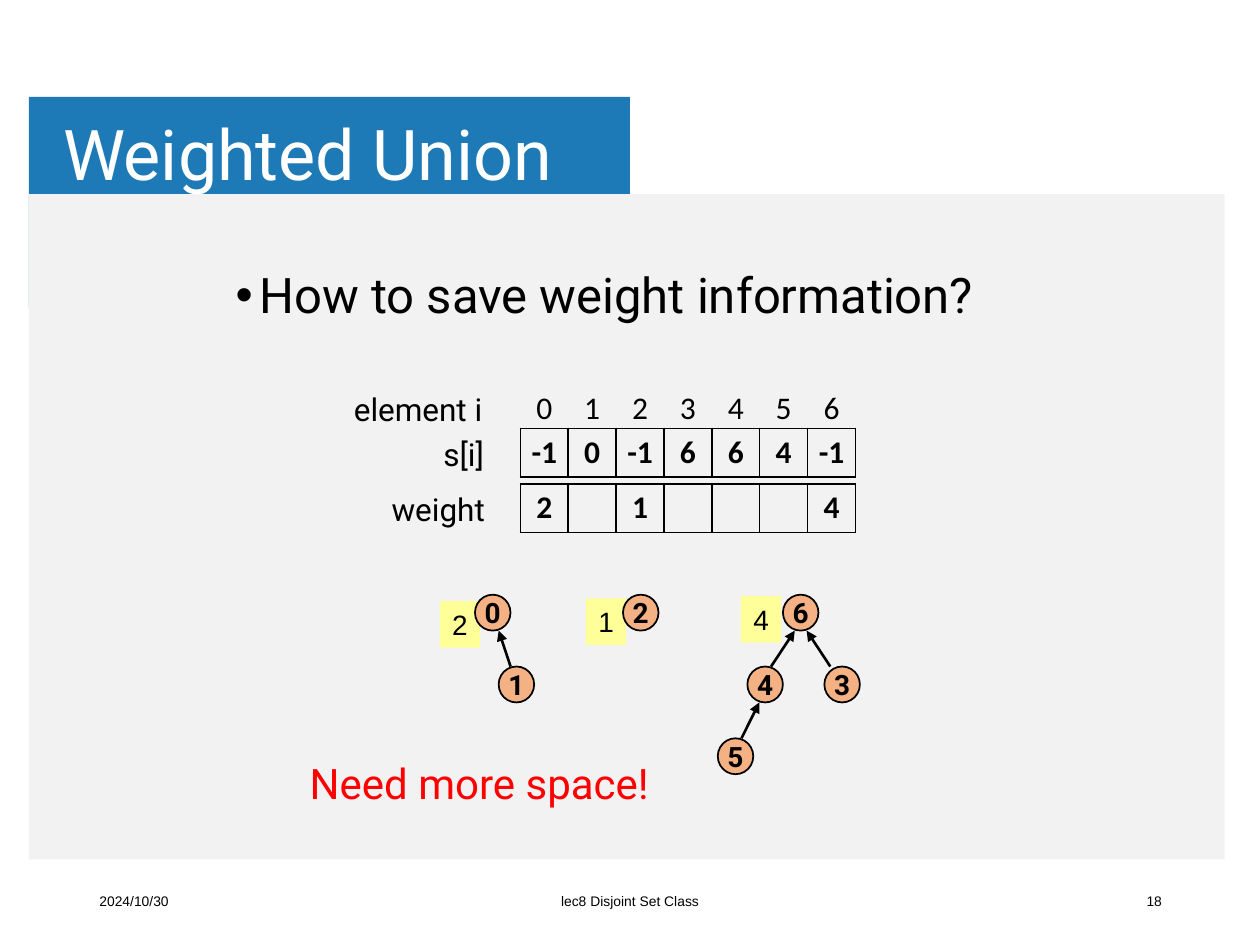
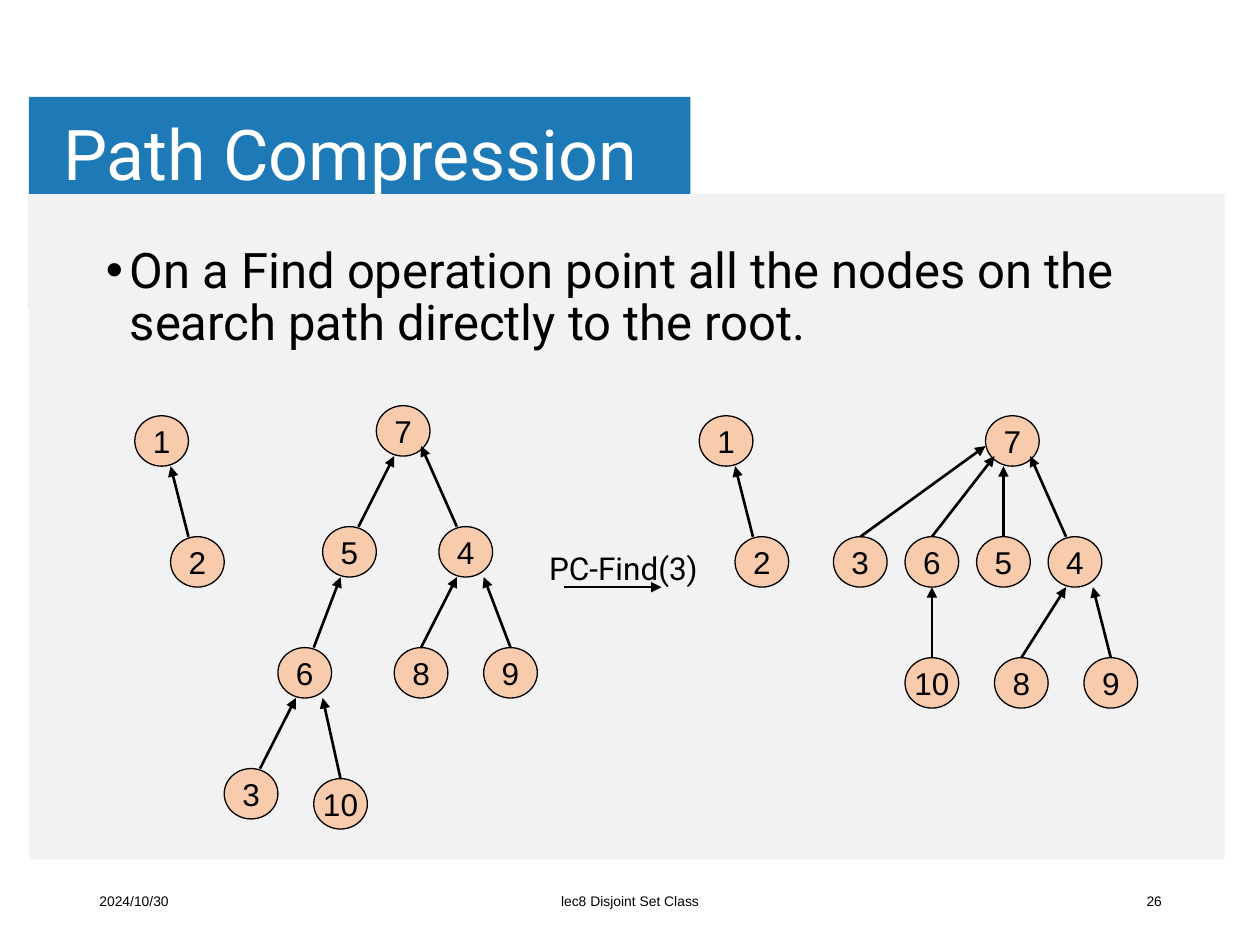
from lxml.etree import SubElement
from pptx import Presentation
from pptx.dml.color import RGBColor
from pptx.enum.shapes import MSO_CONNECTOR, MSO_SHAPE
from pptx.enum.text import MSO_ANCHOR, MSO_AUTO_SIZE, PP_ALIGN
from pptx.oxml.ns import qn
from pptx.util import Inches, Pt

HUES = {
    "blue": "1E7AB6", "panel": "F2F2F2", "white": "FFFFFF", "ink": "000000",
    "red": "FF0000", "note": "FFFF99", "orange": "F4B183", "peach": "F8CBAD",
}
ALIGN = {"l": PP_ALIGN.LEFT, "c": PP_ALIGN.CENTER, "r": PP_ALIGN.RIGHT}
COLS, ROWS = 100, 75  # slide grid
UNIT = Inches(0.1)
WIDE, TALL = 6, 5  # tree node, in cells of its tree's grid


def span(*cells):
    """Turn grid cells into slide lengths."""
    return [round(n * UNIT) for n in cells]


def hue(name):
    return RGBColor.from_string(HUES[name])


def put(frame, text, size=18, font="Roboto", color="ink", bold=False, align="l",
        mid=False, wrap=True, pads=None, lead=None, bullet=False):
    """Write one formatted paragraph into a text frame."""
    frame.text = text
    frame.word_wrap = wrap
    frame.auto_size = MSO_AUTO_SIZE.NONE
    frame.vertical_anchor = MSO_ANCHOR.MIDDLE if mid else MSO_ANCHOR.TOP
    if pads:
        frame.margin_left = frame.margin_right = Inches(pads[0])
        frame.margin_top = frame.margin_bottom = Inches(pads[1])
    para = frame.paragraphs[0]
    para.alignment = ALIGN[align]
    para.space_before = Pt(0)
    if lead:
        para.line_spacing = lead
    if bullet:
        props = para._p.get_or_add_pPr()
        props.set("marL", str(Inches(0.19)))
        props.set("indent", str(-Inches(0.19)))
        SubElement(props, qn("a:buChar"), char="•")
    face = para.runs[0].font
    face.size, face.name, face.bold = Pt(size), font, bold
    face.color.rgb = hue(color)


def label(slide, box, text, **style):
    put(slide.shapes.add_textbox(*span(*box)).text_frame, text, **style)


def block(slide, kind, box, fill, line=None):
    """Add a flat preset shape, outlined when a line width is given."""
    shape = slide.shapes.add_shape(kind, *span(*box))
    shape.shadow.inherit = False
    shape.fill.solid()
    shape.fill.fore_color.rgb = hue(fill)
    if line:
        shape.line.color.rgb = hue("ink")
        shape.line.width = Pt(line)
    else:
        shape.line.fill.background()
    return shape


def arrow(slide, start, end, width=1.5):
    wire = slide.shapes.add_connector(
        MSO_CONNECTOR.STRAIGHT, *span(*start, *end))
    wire.line.color.rgb = hue("ink")
    wire.line.width = Pt(width)
    SubElement(wire.line._get_or_add_ln(), qn("a:tailEnd"), type="triangle")
    SubElement(wire._element.spPr, qn("a:effectLst"))


def place(shape, box):
    shape.left, shape.top, shape.width, shape.height = span(*box)


def frame(deck, title, band, point, box, page):
    """Add a slide with the shared bands, title, bullet and footer."""
    slide = deck.slides.add_slide(deck.slide_layouts[1])
    bands = [((2.3, 7.7, band, 16.7), "blue"),
             ((2.3, 15.4, 94.9, 52.8), "panel")]
    for layer, (area, fill) in enumerate(bands, 2):
        part = block(slide, MSO_SHAPE.RECTANGLE, area, fill)._element
        part.getparent().insert(layer, part)  # behind the placeholders
    head, body = slide.placeholders
    place(head, (4.3, 7.6, 80.3, 9.8))
    put(head.text_frame, title, size=40, color="white", mid=True,
        pads=(0.07, 0.04), lead=0.9)
    place(body, box)
    put(body.text_frame, point, size=28, lead=0.9, bullet=True)
    feet = [(6.9, 22.5, "2024/10/30", "l"),
            (33.1, 33.8, "lec8 Disjoint Set Class", "c"),
            (70.7, 22.5, page, "r")]
    for left, width, text, align in feet:
        label(slide, (left, 69.5, width, 4), text, size=7.9, font="Arial",
              align=align, mid=True)
    return slide


def strip(slide, left, top, values, ruled=True):
    """Add a one-row table, with cell borders when ruled."""
    side = 3.8
    grid = slide.shapes.add_table(
        1, len(values), *span(left, top, side * len(values), side)).table
    grid.first_row = grid.horz_banding = False
    for cell, value in zip(grid.iter_cells(), values):
        props = cell._tc.get_or_add_tcPr()
        for edge in "LRTB":
            line = SubElement(props, qn(f"a:ln{edge}"), w=str(Pt(1)))
            if ruled:
                fill = SubElement(line, qn("a:solidFill"))
                SubElement(fill, qn("a:srgbClr"), val=HUES["ink"])
            else:
                SubElement(line, qn("a:noFill"))
        cell.fill.background()
        cell.margin_left = cell.margin_right = Inches(0.07)
        cell.margin_top = cell.margin_bottom = Inches(0.04)
        if value:
            put(cell.text_frame, value, font="Calibri", bold=ruled, align="c")


def tree(slide, origin, cell, nodes, edges, fill, line, **style):
    """Draw nodes {name: (col, row)} and child-to-parent arrows.

    An edge is child, parent, start column in the child, end column in the
    parent and, when it is not the node's height, the end row in the parent.
    """
    def spot(col, row):
        return origin[0] + col * cell[0], origin[1] + row * cell[1]

    for name, (col, row) in nodes.items():
        box = (*spot(col, row), WIDE * cell[0], TALL * cell[1])
        disc = block(slide, MSO_SHAPE.OVAL, box, fill, line)
        put(disc.text_frame, str(name), align="c", mid=True, wrap=False, **style)
    for child, parent, start, end, *drop in edges:
        low, high = nodes[child], nodes[parent]
        depth = drop[0] if drop else TALL
        arrow(slide, spot(low[0] + start, low[1]),
              spot(high[0] + end, high[1] + depth))


def weighted(deck):
    slide = frame(deck, "Weighted Union", 47.7, "How to save weight information?",
                  (17.7, 21, 68.1, 6), "18")
    lines = [("element i", 27.1, 12.9, 30.5, "0123456", False),
             ("s[i]", 34.2, 6.1, 34, ["-1", "0", "-1", "6", "6", "4", "-1"], True),
             ("weight", 30.1, 10, 38.4, ["2", "", "1", "", "", "", "4"], True)]
    for text, left, width, top, values, ruled in lines:
        strip(slide, 41.3, top, values, ruled)
        label(slide, (left, top, width, 4), text, wrap=False)
    for text, left, top in [("2", 34.9, 47.7), ("4", 58.8, 47.3),
                            ("1", 46.5, 47.5)]:
        note = block(slide, MSO_SHAPE.RECTANGLE, (left, top, 3.2, 3.7), "note")
        put(note.text_frame, text, size=16, font="Arial", wrap=False)
    nodes = {0: (0, 0), 1: (4, 10), 2: (25, 0), 3: (59, 10), 4: (46, 10),
             5: (41, 20), 6: (52, 0)}
    edges = [(1, 0, 2, 4), (4, 6, 4, 2), (3, 6, 1, 4), (5, 4, 4, 2)]
    tree(slide, (37.7, 47.2), (0.47, 0.57), nodes, edges, "orange", 1,
         size=16, bold=True)
    label(slide, (23.6, 59.6, 29.8, 5), "Need more space!", size=24,
          color="red", wrap=False)


def compress(deck):
    slide = frame(deck, "Path Compression", 52.5,
                  "On a Find operation point all the nodes on the search path "
                  "directly to the root.", (7.4, 19, 88.9, 10.6), "26")
    before = {1: (0, 1), 2: (4, 13), 3: (10, 36), 4: (34, 12), 5: (21, 12),
              6: (16, 24), 7: (27, 0), 8: (29, 24), 9: (39, 24), 10: (20, 37)}
    climbs = [(2, 1, 2, 4), (5, 7, 4, 2), (4, 7, 2, 5, 4), (6, 5, 4, 2),
              (3, 6, 4, 2), (8, 4, 3, 2), (9, 4, 3, 5), (10, 6, 3, 5)]
    after = {1: (0, 1), 2: (4, 13), 3: (15, 13), 4: (39, 13), 5: (31, 13),
             6: (23, 13), 7: (32, 1), 8: (33, 25), 9: (43, 25), 10: (23, 25)}
    jumps = [(2, 1, 2, 4), (5, 7, 3, 2), (4, 7, 2, 5, 4), (6, 7, 3, 1, 4),
             (3, 7, 3, 0, 3), (8, 4, 3, 2), (9, 4, 3, 5), (10, 6, 3, 3)]
    for left, nodes, edges in [(10.7, before, climbs), (55.5, after, jumps)]:
        tree(slide, (left, 32.2), (0.71, 0.8), nodes, edges, "peach", 0.75,
             font="Arial")
    arrow(slide, (44.8, 46.6), (52.5, 46.6), 0.75)
    label(slide, (42.6, 43.1, 17.4, 4), "PC-Find(3)")


def main():
    deck = Presentation()
    deck.slide_width, deck.slide_height = span(COLS, ROWS)
    weighted(deck)
    compress(deck)
    deck.save("out.pptx")


if __name__ == "__main__":
    main()
